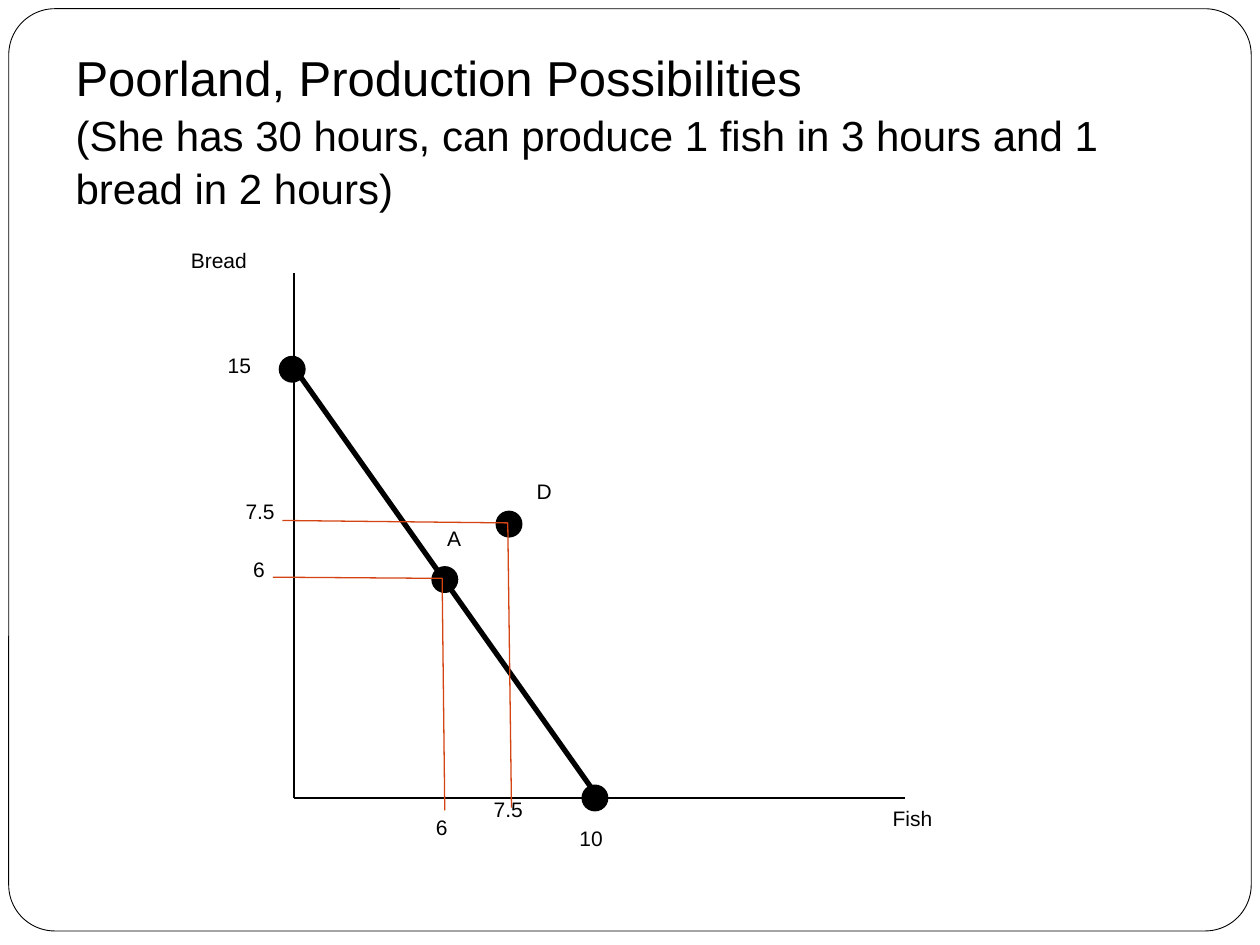
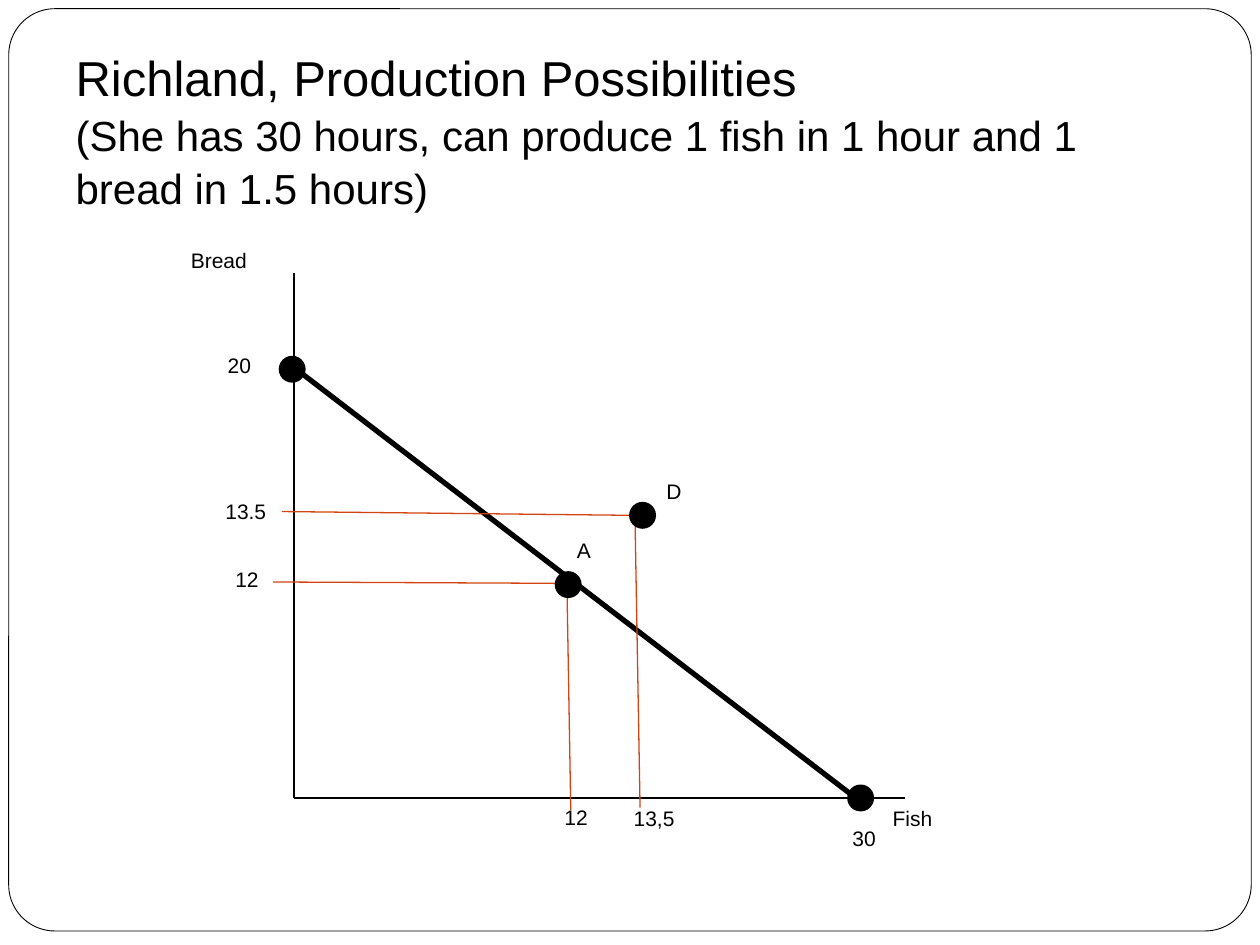
from lxml.etree import SubElement
from pptx import Presentation
from pptx.dml.color import RGBColor
from pptx.enum.shapes import MSO_CONNECTOR, MSO_SHAPE
from pptx.enum.text import MSO_ANCHOR, MSO_AUTO_SIZE, PP_ALIGN
from pptx.oxml.ns import qn
from pptx.util import Pt

COLORS = {"ink": "000000", "paper": "FFFFFF", "guide": "D34412"}
FONT = "Arial"
TITLE_SIZE, SUBTITLE_SIZE, LABEL_SIZE = 28, 24, 12
TITLE_BOX = (36, 21.6, 648, 90)
FRAME_BOX = (5, 5, 710, 527)

ORIGIN, BREAD_END, FISH_END = (168, 456), (168, 156), (517, 456)
BREAD_DOT, FRONTIER_START = (167, 211), (168, 210)
DOT_SIZE = 14.4
AXIS_LABELS = [("Bread", 102, 138), ("Fish", 503, 457)]

# Labels are (text, left, top); dots are centres; guides are corner points.
COUNTRIES = [
    {
        "title": "Poorland, Production Possibilities",
        "subtitle": "(She has 30 hours, can produce 1 fish in 3 hours and 1 bread in 2 hours)",
        "fish_dot": (340, 456),
        "frontier_end": (342, 456),
        "dots": [(254.2, 331.2), (290.9, 299.5)],
        "guides": [
            [(156, 329.8), (252.7, 330.5), (254.2, 463)],
            [(161.3, 297.4), (290.2, 298.8), (292.3, 461.5)],
        ],
        "guides_over_dots": True,
        "labels": [
            ("15", 123, 198), ("10", 324, 468),
            ("6", 137.5, 314.6), ("6", 242, 462), ("A", 248.4, 296.6),
            ("7.5", 133.2, 281.5), ("7.5", 275, 451.4), ("D", 299.5, 270),
        ],
    },
    {
        "title": "Richland, Production Possibilities",
        "subtitle": "(She has 30 hours, can produce 1 fish in 1 hour and 1 bread in 1.5 hours)",
        "fish_dot": (491.8, 456),
        "frontier_end": (490.3, 457),
        "dots": [(324.7, 334.1), (367.2, 294.5)],
        "guides": [
            [(156, 332.6), (324, 333.4), (326.2, 463)],
            [(161.3, 292.3), (362.9, 294.5), (365.8, 461.5)],
        ],
        "guides_over_dots": False,
        "labels": [
            ("20", 123, 198), ("30", 480, 468),
            ("12", 127.4, 320.4), ("12", 315.4, 456.5), ("A", 322.6, 303.8),
            ("13.5", 121.7, 281.5), ("13,5", 355, 457), ("D", 373.7, 270),
        ],
    },
]


def color(name):
    return RGBColor.from_string(COLORS[name])


def points(values):
    return [Pt(value) for value in values]


def style_line(line, name, width):
    line.color.rgb = color(name)
    line.width = Pt(width)


def style_run(run, size):
    run.font.name = FONT
    run.font.size = Pt(size)
    run.font.color.rgb = color("ink")


def add_filled(slide, preset, box, fill, line_width):
    shape = slide.shapes.add_shape(preset, *points(box))
    shape.shadow.inherit = False
    shape.fill.solid()
    shape.fill.fore_color.rgb = color(fill)
    style_line(shape.line, "ink", line_width)
    return shape


def move_frame_to_layout(slide):
    """Draw the rounded border and hand it to the layout, behind everything."""
    frame = add_filled(slide, MSO_SHAPE.ROUNDED_RECTANGLE, FRAME_BOX, "paper", 0.5)
    frame.adjustments[0] = 0.05
    slide.slide_layout.shapes._spTree.insert(2, frame._element)


def set_title(slide, title, subtitle):
    placeholder = slide.shapes.title
    placeholder.left, placeholder.top, placeholder.width, placeholder.height = points(TITLE_BOX)
    text_frame = placeholder.text_frame
    text_frame.text = f"{title}\v{subtitle}"
    text_frame.vertical_anchor = MSO_ANCHOR.TOP
    text_frame.auto_size = MSO_AUTO_SIZE.NONE
    paragraph = text_frame.paragraphs[0]
    paragraph.alignment = PP_ALIGN.LEFT
    paragraph.line_spacing = 1.06
    for run, size in zip(paragraph.runs, (TITLE_SIZE, SUBTITLE_SIZE)):
        style_run(run, size)
    line_break = paragraph._p.find(qn("a:br"))
    SubElement(line_break, qn("a:rPr"), sz=str(TITLE_SIZE * 100))


def add_line(slide, start, end, width):
    connector = slide.shapes.add_connector(MSO_CONNECTOR.STRAIGHT, *points(start + end))
    style_line(connector.line, "ink", width)
    SubElement(connector._element.spPr, qn("a:effectLst"))


def add_dot(slide, center):
    left, top = (value - DOT_SIZE / 2 for value in center)
    add_filled(slide, MSO_SHAPE.OVAL, (left, top, DOT_SIZE, DOT_SIZE), "ink", 1)


def add_guide(slide, corners):
    start, *others = [points(corner) for corner in corners]
    builder = slide.shapes.build_freeform(*start)
    builder.add_line_segments(others, close=False)
    guide = builder.convert_to_shape()
    guide.shadow.inherit = False
    guide.fill.background()
    style_line(guide.line, "guide", 0.75)


def add_label(slide, text, left, top):
    width = 16 + 8 * len(text)
    text_frame = slide.shapes.add_textbox(*points((left, top, width, 28.8))).text_frame
    text_frame.word_wrap = True
    text_frame.text = text
    style_run(text_frame.paragraphs[0].runs[0], LABEL_SIZE)


def add_country(slide, country):
    set_title(slide, country["title"], country["subtitle"])
    add_line(slide, BREAD_END, ORIGIN, 1)
    add_line(slide, ORIGIN, FISH_END, 1)
    add_dot(slide, BREAD_DOT)
    add_dot(slide, country["fish_dot"])
    add_line(slide, FRONTIER_START, country["frontier_end"], 3)

    layers = [(add_guide, country["guides"]), (add_dot, country["dots"])]
    if country["guides_over_dots"]:
        layers.reverse()
    for draw, items in layers:
        for item in items:
            draw(slide, item)
    for label in AXIS_LABELS + country["labels"]:
        add_label(slide, *label)


def main():
    presentation = Presentation()
    presentation.slide_width, presentation.slide_height = Pt(720), Pt(540)
    title_only = presentation.slide_layouts[5]
    for number, country in enumerate(COUNTRIES):
        slide = presentation.slides.add_slide(title_only)
        if number == 0:
            move_frame_to_layout(slide)
        add_country(slide, country)
    presentation.save("out.pptx")


if __name__ == "__main__":
    main()
